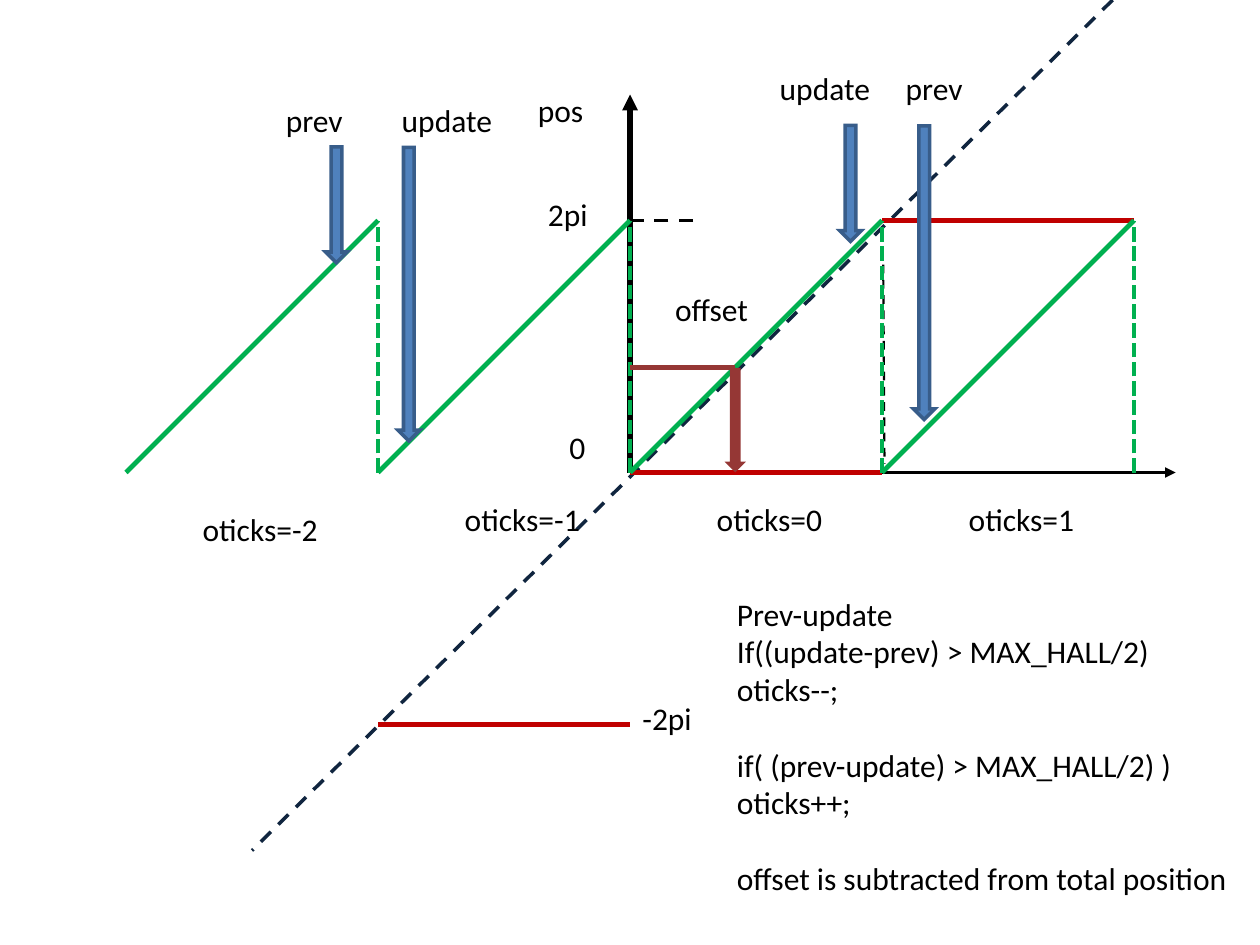
from dataclasses import dataclass

from lxml import etree
from pptx import Presentation
from pptx import util as u
from pptx.dml.color import RGBColor
from pptx.enum import dml, shapes, text
from pptx.oxml.ns import qn

PX = 9144  # EMU per px, 100 px to the inch
DASH = dml.MSO_LINE.DASH
SHORT_DASH = dml.MSO_LINE.SQUARE_DOT


@dataclass(frozen=True)
class Theme:
    font: str = "Calibri"
    size: int = 18
    blank_line: float = 21.5
    ink: str = "000000"
    total: str = "10253F"
    turn: str = "C00000"
    wave: str = "00B050"
    arrow: str = "4F81BD"
    arrow_edge: str = "385D8A"
    offset: str = "953735"
    thick: float = 2.75
    thin: float = 2


@dataclass(frozen=True)
class Box:
    left: int
    top: int
    width: int
    height: int


THEME = Theme()


def px(value):
    return u.Emu(value * PX)


def add_line(slide, start, end, color, width=THEME.thick, dash=None, head=False):
    line = slide.shapes.add_connector(
        shapes.MSO_CONNECTOR.STRAIGHT, *(px(value) for value in (*start, *end)))
    line.line.color.rgb = RGBColor.from_string(color)
    line.line.width = u.Pt(width)
    if dash:
        line.line.dash_style = dash
    properties = line._element.spPr
    if head:
        etree.SubElement(properties.find(qn("a:ln")), qn("a:tailEnd"), type="triangle")
    etree.SubElement(properties, qn("a:effectLst"))


def add_text(slide, box, paragraphs, wrap=False):
    """Paragraphs are (wording, space before in points)."""
    shape = slide.shapes.add_textbox(*map(px, (box.left, box.top, box.width, box.height)))
    frame = shape.text_frame
    frame.word_wrap = wrap
    frame.auto_size = text.MSO_AUTO_SIZE.SHAPE_TO_FIT_TEXT
    for index, (wording, space) in enumerate(paragraphs):
        paragraph = frame.add_paragraph() if index else frame.paragraphs[0]
        paragraph.space_before = u.Pt(space)
        run = paragraph.add_run()
        run.text = wording
        run.font.name = THEME.font
        run.font.size = u.Pt(THEME.size)
        run.font.color.rgb = RGBColor.from_string(THEME.ink)


def add_label(slide, left, top, width, wording):
    """One line of text; the box is a little wider than the wording."""
    add_text(slide, Box(left, top, width + 2, 40), [(wording, 0)])


def add_down_arrow(slide, x, top, length, fill, edge=None):
    """A right arrow turned to point down, centred on x."""
    thickness = 17
    shape = slide.shapes.add_shape(
        shapes.MSO_SHAPE.RIGHT_ARROW, px(x - length // 2),
        px(top + (length - thickness) // 2), px(length), px(thickness))
    shape.rotation = 90
    shape.shadow.inherit = False
    shape.fill.solid()
    shape.fill.fore_color.rgb = RGBColor.from_string(fill)
    if edge:
        shape.line.color.rgb = RGBColor.from_string(edge)
        shape.line.width = u.Pt(THEME.thin)
        # Sharp corners
        etree.SubElement(shape._element.spPr.find(qn("a:ln")), qn("a:miter"), lim="800000")
    else:
        shape.line.fill.background()


def draw_axes(slide, box):
    """Axes whose origin is the box's lower left corner."""
    left, base = box.left, box.top + box.height
    origin = (left, base)
    add_line(slide, origin, (left, box.top), THEME.ink, 3, head=True)
    add_line(slide, origin, (left + box.width, base), THEME.ink, THEME.thin, head=True)
    add_line(slide, (left + 50, base - 200), (left, base - 200), THEME.ink, THEME.thin, DASH)
    for dx, dy, width, wording in ((-58, -40, 32, "0"), (-75, -225, 51, "2pi"),
                                   (-83, -308, 56, "pos"), (0, 175, 59, "-2pi")):
        add_label(slide, left + dx, base + dy, width, wording)


def draw_total_position(slide, box):
    """Unwrapped position, rising across the box."""
    add_line(slide, (box.left + box.width, box.top),
             (box.left, box.top + box.height), THEME.total, THEME.thin, DASH)


def draw_sawtooth(slide, box, periods=4):
    """Wrapped position, its turn levels and the tick count of each turn."""
    step = box.width // periods
    base = box.top + box.height
    edges = [box.left + step * index for index in range(periods + 1)]
    add_line(slide, (edges[3] + 1, box.top + 35), (edges[3] + 2, base - 7),
             THEME.ink, 1.25, DASH)
    # Turn levels, from the second period on
    for x, y in zip(edges[1:], (base + box.height, base, box.top)):
        add_line(slide, (x, y), (x + step, y), THEME.turn)
    # Ramps and drops
    for x in edges[:-1]:
        add_line(slide, (x, base), (x + step, box.top), THEME.wave)
        add_line(slide, (x + step, base), (x + step, box.top), THEME.wave, dash=SHORT_DASH)
    # Tick counts; the first stands a little apart
    for x, ticks in zip(edges, range(-2, 2)):
        dx, dy = (51, 25) if ticks == -2 else (59, 17)
        add_label(slide, x + dx, base + dy, 111 if ticks < 0 else 104, f"oticks={ticks}")


def draw_wrap_event(slide, box, short, long):
    """Two samples around a wrap; short and long are (name, label dx, arrow dx)."""
    for (name, label_dx, arrow_dx), length in ((short, 92), (long, 233)):
        add_label(slide, box.left + label_dx, box.top, 65 if name == "prev" else 92, name)
        add_down_arrow(slide, box.left + arrow_dx, box.top + box.height - 233, length,
                       THEME.arrow, THEME.arrow_edge)


def draw_offset(slide, box):
    """Offset level along the top of the box, with its arrow on the right side."""
    add_down_arrow(slide, box.left + box.width, box.top, box.height, THEME.offset)
    add_label(slide, box.left + 26, box.top - 67, 78, "offset")
    add_line(slide, (box.left, box.top), (box.left + box.width, box.top), THEME.offset)


def draw_rule(slide, box):
    add_text(slide, box, [
        ("Prev-update", 0),
        ("If((update-prev) > MAX_HALL/2)", 0),
        ("oticks--;", 0),
        ("if( (prev-update) > MAX_HALL/2) ) oticks++;", THEME.blank_line),
        ("offset is subtracted from total position", THEME.blank_line),
    ], wrap=True)


def main():
    presentation = Presentation()
    presentation.slide_width, presentation.slide_height = px(1000), px(750)
    slide = presentation.slides.add_slide(presentation.slide_layouts[6])
    draw_axes(slide, Box(500, 75, 433, 300))
    draw_total_position(slide, Box(200, 0, 683, 675))
    draw_sawtooth(slide, Box(100, 175, 800, 200))
    draw_wrap_event(slide, Box(217, 75, 184, 275), ("prev", 0, 50), ("update", 92, 107))
    draw_wrap_event(slide, Box(609, 50, 165, 283), ("update", 0, 66), ("prev", 100, 124))
    draw_offset(slide, Box(500, 292, 83, 83))
    draw_rule(slide, Box(575, 467, 425, 250))
    presentation.save("out.pptx")


if __name__ == "__main__":
    main()
